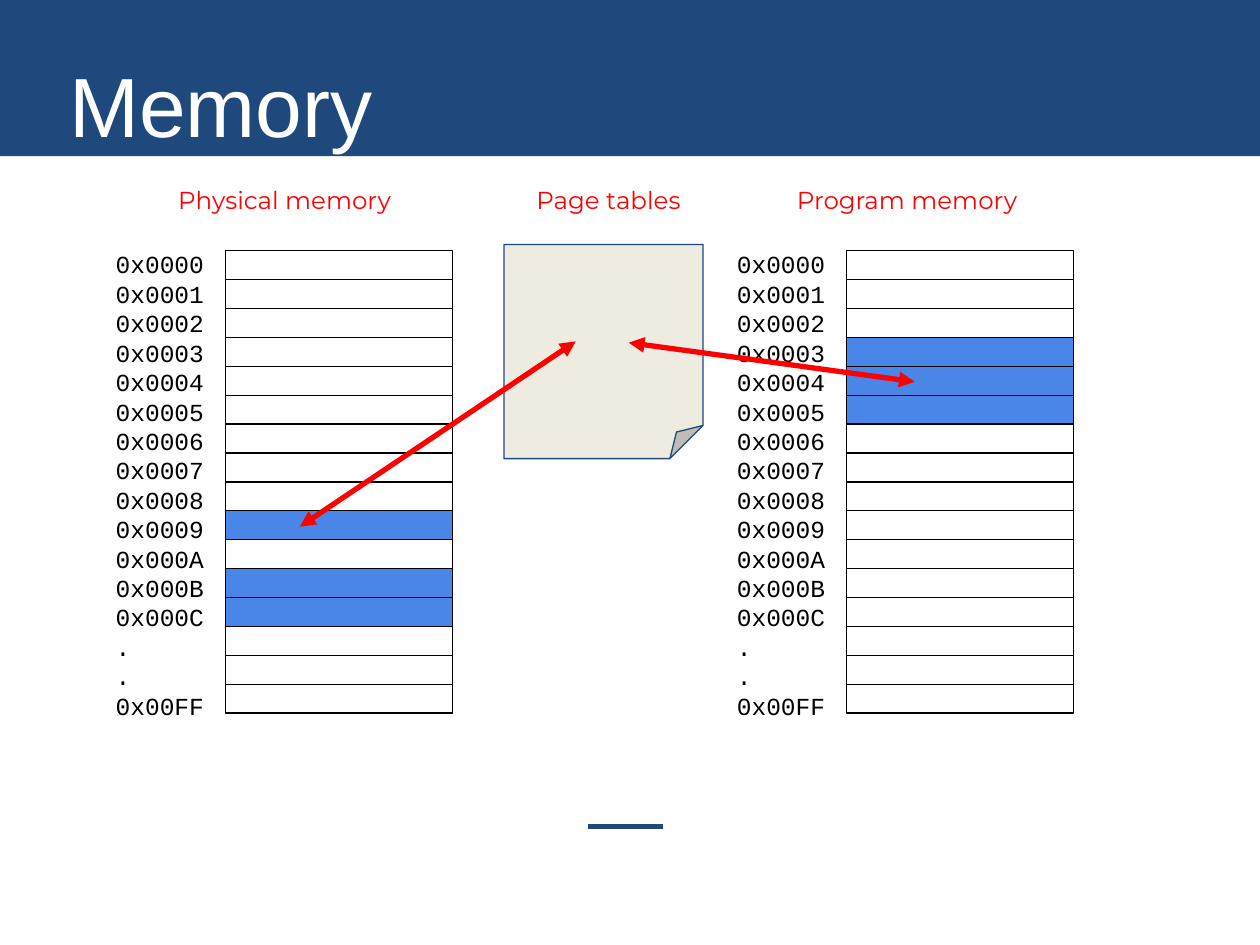
from dataclasses import dataclass

from lxml import etree
from pptx import Presentation
from pptx.dml.color import RGBColor
from pptx.enum.shapes import MSO_CONNECTOR, MSO_SHAPE
from pptx.enum.text import MSO_ANCHOR, PP_ALIGN
from pptx.oxml.ns import qn
from pptx.util import Inches, Pt

RECTANGLE = MSO_SHAPE.RECTANGLE
FOLDED_CORNER = MSO_SHAPE.FOLDED_CORNER
STRAIGHT = MSO_CONNECTOR.STRAIGHT
LEFT, CENTER = PP_ALIGN.LEFT, PP_ALIGN.CENTER
MIDDLE, TOP = MSO_ANCHOR.MIDDLE, MSO_ANCHOR.TOP


@dataclass(frozen=True)
class Theme:
    navy: str = "1F497D"
    page: str = "EEECE1"
    used: str = "4A86E8"
    red: str = "FF0000"
    black: str = "000000"
    white: str = "FFFFFF"
    title_font: str = "Arial"
    label_font: str = "Montserrat"
    code_font: str = "Courier New"
    title_size: float = 48
    text_size: float = 14
    code_spacing: float = 16.8
    thin: float = 0.75
    thick: float = 3


@dataclass(frozen=True)
class MemoryColumn:
    caption: str
    caption_left: float
    address_left: float
    cell_left: float
    used_rows: tuple[int, ...]


THEME = Theme()
ADDRESSES = [f"0x{row:04X}" for row in range(13)] + [".", ".", "0x00FF"]
CELL_TOP, CELL_WIDTH, CELL_PITCH = 1.99, 1.8, 3.67 / 16
COLUMNS = (
    MemoryColumn("Physical memory", 1.01, 0.82, 1.79, (9, 11, 12)),
    MemoryColumn("Program memory", 5.95, 5.75, 6.72, (3, 4, 5)),
)


def color(value: str) -> RGBColor:
    return RGBColor.from_string(value)


def fill_text(shape, lines: list[str], font_name: str, size: float, ink: str,
              align=LEFT, anchor=TOP, spacing: float | None = None) -> None:
    frame = shape.text_frame
    frame.word_wrap = True
    frame.vertical_anchor = anchor
    frame.margin_left = frame.margin_right = Inches(0.1)
    frame.margin_top = frame.margin_bottom = Inches(0.1)
    frame.text = "\n".join(lines)
    for paragraph in frame.paragraphs:
        paragraph.alignment = align
        if spacing:
            paragraph.line_spacing = Pt(spacing)
        paragraph.font.name = font_name
        paragraph.font.size = Pt(size)
        paragraph.font.color.rgb = color(ink)


def add_box(slide, kind, left: float, top: float, width: float, height: float,
            fill: str | None = None, line: str | None = None) -> None:
    shape = slide.shapes.add_shape(
        kind, Inches(left), Inches(top), Inches(width), Inches(height))
    shape.shadow.inherit = False
    if fill:
        shape.fill.solid()
        shape.fill.fore_color.rgb = color(fill)
    else:
        shape.fill.background()
    if line:
        shape.line.color.rgb = color(line)
        shape.line.width = Pt(THEME.thin)
    else:
        shape.line.fill.background()


def add_line(slide, start: tuple[float, float], end: tuple[float, float],
             ink: str, arrows: bool = False) -> None:
    connector = slide.shapes.add_connector(
        STRAIGHT, *(Inches(value) for value in start + end))
    connector.line.color.rgb = color(ink)
    connector.line.width = Pt(THEME.thick)
    if arrows:
        outline = connector.line._get_or_add_ln()
        for tag in ("a:headEnd", "a:tailEnd"):
            etree.SubElement(outline, qn(tag), type="triangle")
    etree.SubElement(connector._element.spPr, qn("a:effectLst"))


def add_caption(slide, text: str, left: float) -> None:
    box = slide.shapes.add_textbox(
        Inches(left), Inches(1.37), Inches(2.5), Inches(0.51))
    fill_text(box, [text], THEME.label_font, THEME.text_size, THEME.red, CENTER)


def add_memory_column(slide, column: MemoryColumn) -> None:
    addresses = slide.shapes.add_textbox(
        Inches(column.address_left), Inches(1.88), Inches(1.8), Inches(4.04))
    fill_text(addresses, ADDRESSES, THEME.code_font, THEME.text_size,
              THEME.black, spacing=THEME.code_spacing)
    for row in range(len(ADDRESSES)):
        add_box(slide, RECTANGLE, column.cell_left, CELL_TOP + row * CELL_PITCH,
                CELL_WIDTH, CELL_PITCH,
                THEME.used if row in column.used_rows else None, THEME.black)
    add_caption(slide, column.caption, column.caption_left)


def main() -> None:
    presentation = Presentation()
    presentation.slide_width = Inches(10)
    presentation.slide_height = Inches(7.5)
    slide = presentation.slides.add_slide(presentation.slide_layouts[5])

    # Header band, footer rule and title; the title goes above the band
    add_box(slide, RECTANGLE, 0, 0, 10, 1.24, THEME.navy)
    add_line(slide, (4.67, 6.56), (5.26, 6.56), THEME.navy)
    title = slide.shapes.title
    title.left, title.top = Inches(0.45), Inches(0.42)
    title.width, title.height = Inches(9.31), Inches(0.81)
    fill_text(title, ["Memory"], THEME.title_font, THEME.title_size,
              THEME.white, anchor=MIDDLE)
    slide.shapes._spTree.append(title._element)

    # Memory columns
    for column in COLUMNS:
        add_memory_column(slide, column)

    # Page table sheet
    add_box(slide, FOLDED_CORNER, 4, 1.94, 1.58, 1.7, THEME.page, THEME.navy)
    add_caption(slide, "Page tables", 3.58)

    # Mapping arrows
    add_line(slide, (7.26, 3.03), (4.99, 2.72), THEME.red, arrows=True)
    add_line(slide, (4.57, 2.71), (2.38, 4.18), THEME.red, arrows=True)

    presentation.save("out.pptx")


if __name__ == "__main__":
    main()
